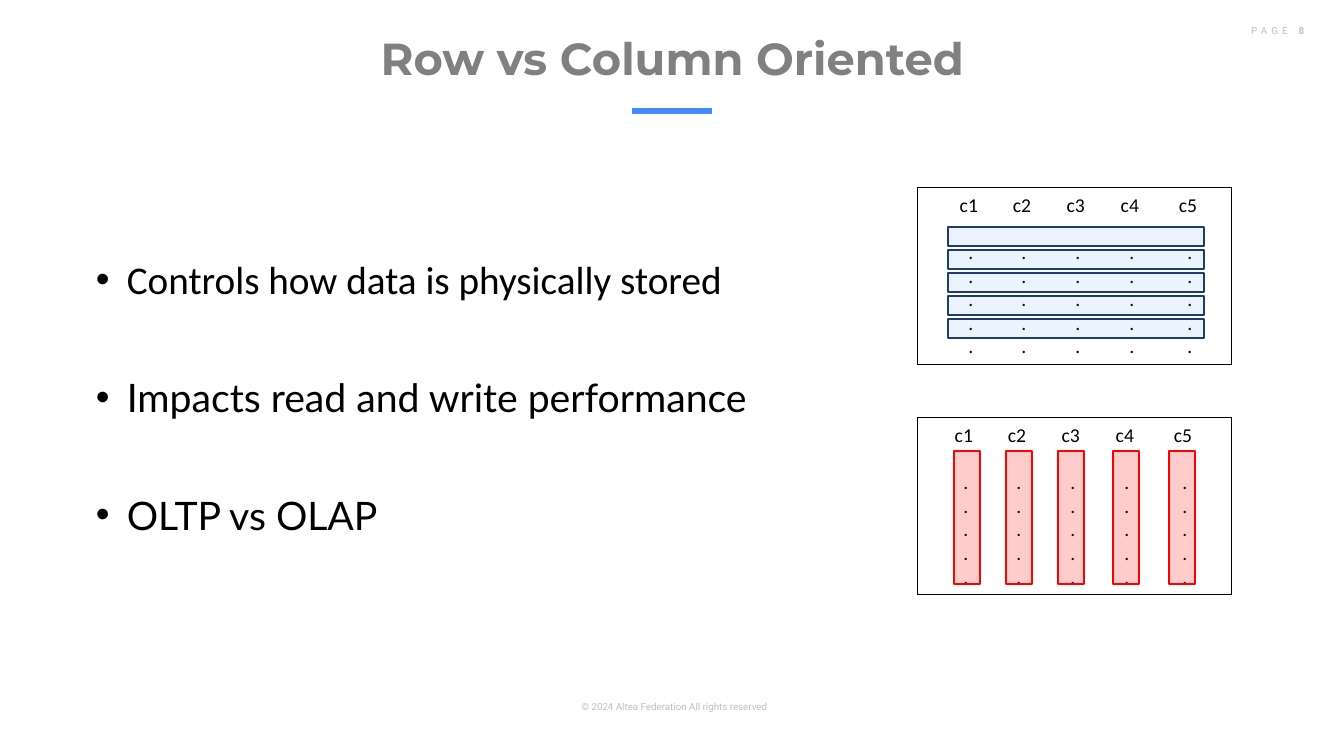
"""Build the slide that contrasts row and column oriented storage."""
from lxml.etree import SubElement
from pptx import Presentation
from pptx.dml.color import RGBColor
from pptx.enum.shapes import MSO_CONNECTOR, MSO_SHAPE
from pptx.enum.text import MSO_ANCHOR, PP_ALIGN
from pptx.oxml.ns import qn
from pptx.util import Emu, Pt

COLORS = {
    "title": "808080",
    "muted": "BFBFBF",
    "text": "000000",
    "accent": "438AFE",
    "row_edge": "1D3C6F",
    "column": "FF0000",
}


def px(length):
    return Emu(round(length * 914400 / 100.8))


def style(paragraph, size, family, color, bold=None):
    font = paragraph.font
    font.size, font.name, font.bold = Pt(size), family, bold
    font.color.rgb = RGBColor.from_string(COLORS[color])


prs = Presentation()
prs.slide_width, prs.slide_height = px(1344), px(756)
slide = prs.slides.add_slide(prs.slide_layouts[6])
shapes = slide.shapes

copyright_frame = shapes.add_textbox(px(566), px(696), px(211), px(22)).text_frame
copyright_frame.word_wrap = False
copyright_line = copyright_frame.paragraphs[0]
copyright_line.text = "© 2024 Altea Federation All rights reserved"
copyright_line.alignment = PP_ALIGN.RIGHT
style(copyright_line, 7, "Roboto", "muted")

title_frame = shapes.add_textbox(px(93), px(18), px(1159), px(87)).text_frame
title_frame.word_wrap = True
title_frame.vertical_anchor = MSO_ANCHOR.MIDDLE
title = title_frame.paragraphs[0]
title.text = "Row vs Column Oriented"
title.alignment = PP_ALIGN.CENTER
title.line_spacing = 0.9
style(title, 32, "Montserrat", "title", True)

page_frame = shapes.add_textbox(px(1205), px(20), px(109), px(40)).text_frame
page_frame.word_wrap = True
page = page_frame.paragraphs[0]
page.alignment = PP_ALIGN.RIGHT
style(page, 7, "Roboto", "muted")
for words, bold in (("PAGE ", False), ("8", True)):
    run = page.add_run()
    run.text = words
    run.font.bold = bold
    run.font._element.set("spc", "300")

points = (
    ("Controls how data is physically stored", "Calibri"),
    ("Impacts read and write performance", "Lato"),
    ("OLTP vs OLAP", "Lato"),
)
points_frame = shapes.add_textbox(px(86), px(180), px(783), px(414)).text_frame
points_frame.word_wrap = True
for index, (words, family) in enumerate(points):
    point = points_frame.add_paragraph() if index else points_frame.paragraphs[0]
    point.text = words
    point.line_spacing = 2.5
    properties = point._p.get_or_add_pPr()
    properties.set("marL", str(px(31)))
    properties.set("indent", str(-px(31)))
    SubElement(properties, qn("a:buFont"), typeface="Arial")
    SubElement(properties, qn("a:buChar"), char="•")
    style(point, 28, family, "text")

underline = shapes.add_connector(MSO_CONNECTOR.STRAIGHT, px(632), px(111), px(712), px(111))
underline.line.color.rgb = RGBColor.from_string(COLORS["accent"])
underline.line.width = Pt(4.5)
SubElement(underline._element.spPr, qn("a:effectLst"))

row_bars = [(948, 227 + 23 * i, 256, 19) for i in range(5)]
column_bars = [(left, 451, 26, 133) for left in (954, 1006, 1058, 1113, 1169)]
diagrams = (
    (188, 0, row_bars, "accent", "row_edge", 10),
    (418, -5, column_bars, "column", "column", 20),
)
tab_stops = (41, 94, 148, 202, 260)
headings = "".join(f"\tc{number}" for number in range(1, 6))
dots = "\t." * 5

for top, shift, bars, fill, edge, opacity in diagrams:
    diagram = shapes.add_group_shape().shapes
    frame = diagram.add_shape(MSO_SHAPE.RECTANGLE, px(918), px(top), px(314), px(177))
    frame.shadow.inherit = False
    frame.fill.background()
    frame.line.color.rgb = RGBColor.from_string(COLORS["text"])
    frame.line.width = Pt(0.75)
    cells = frame.text_frame
    cells.word_wrap = True
    cells.vertical_anchor = MSO_ANCHOR.TOP
    for index, words in enumerate([headings] + [dots] * 5):
        line = cells.add_paragraph() if index else cells.paragraphs[0]
        line.text = words
        line.alignment = PP_ALIGN.LEFT
        if index == 1:
            line.space_before = Pt(17)
        tabs = SubElement(line._p.get_or_add_pPr(), qn("a:tabLst"))
        for stop in tab_stops:
            position = stop + shift + (2 if index else 0)
            SubElement(tabs, qn("a:tab"), pos=str(px(position)), algn="ctr")
        style(line, 14, "Calibri", "text")
    for box in bars:
        bar = diagram.add_shape(MSO_SHAPE.RECTANGLE, *map(px, box))
        bar.shadow.inherit = False
        bar.fill.solid()
        bar.fill.fore_color.rgb = RGBColor.from_string(COLORS[fill])
        tint = bar._element.spPr.find(qn("a:solidFill")).find(qn("a:srgbClr"))
        SubElement(tint, qn("a:alpha"), val=str(opacity * 1000))
        bar.line.color.rgb = RGBColor.from_string(COLORS[edge])
        bar.line.width = Pt(1)

prs.save("out.pptx")
